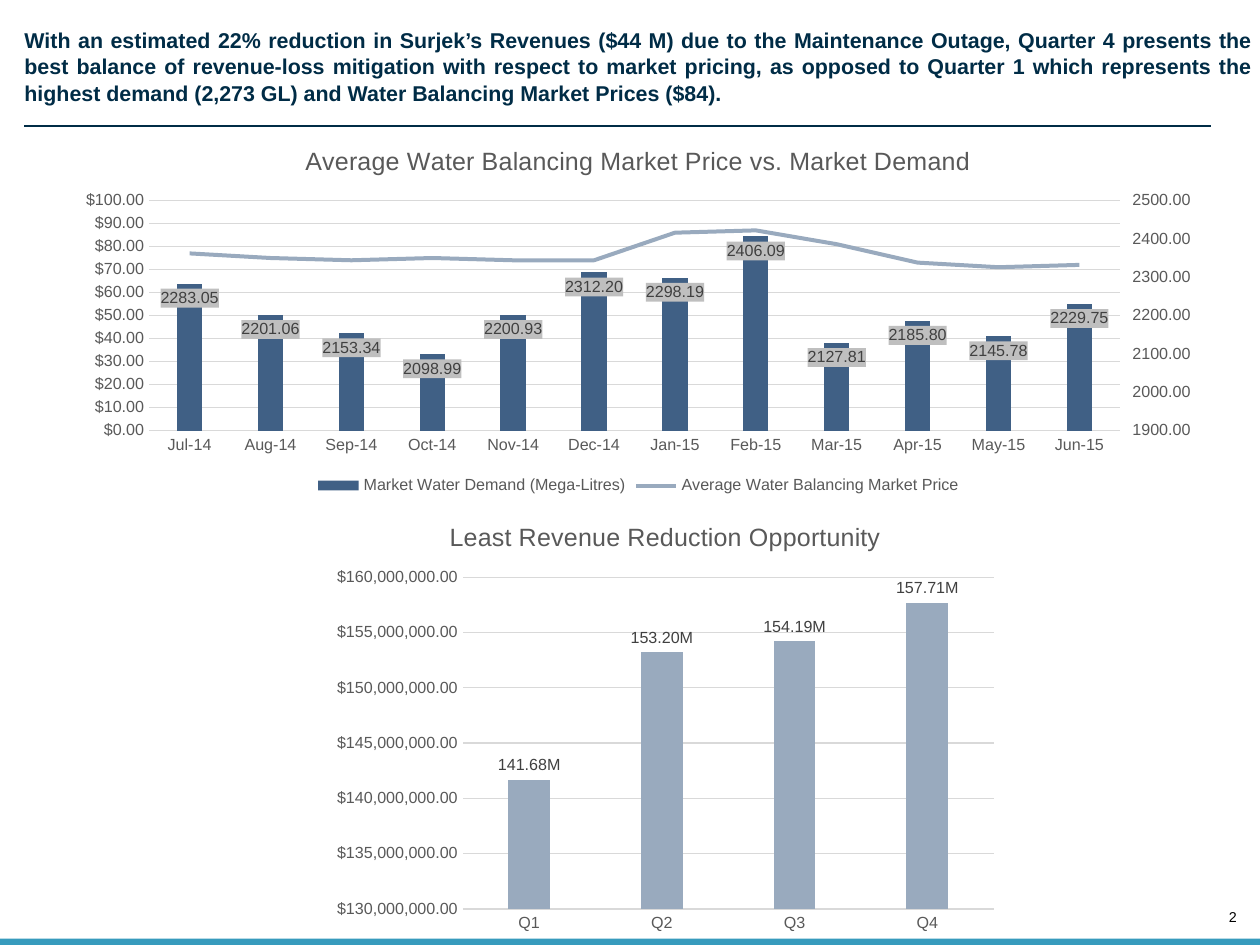
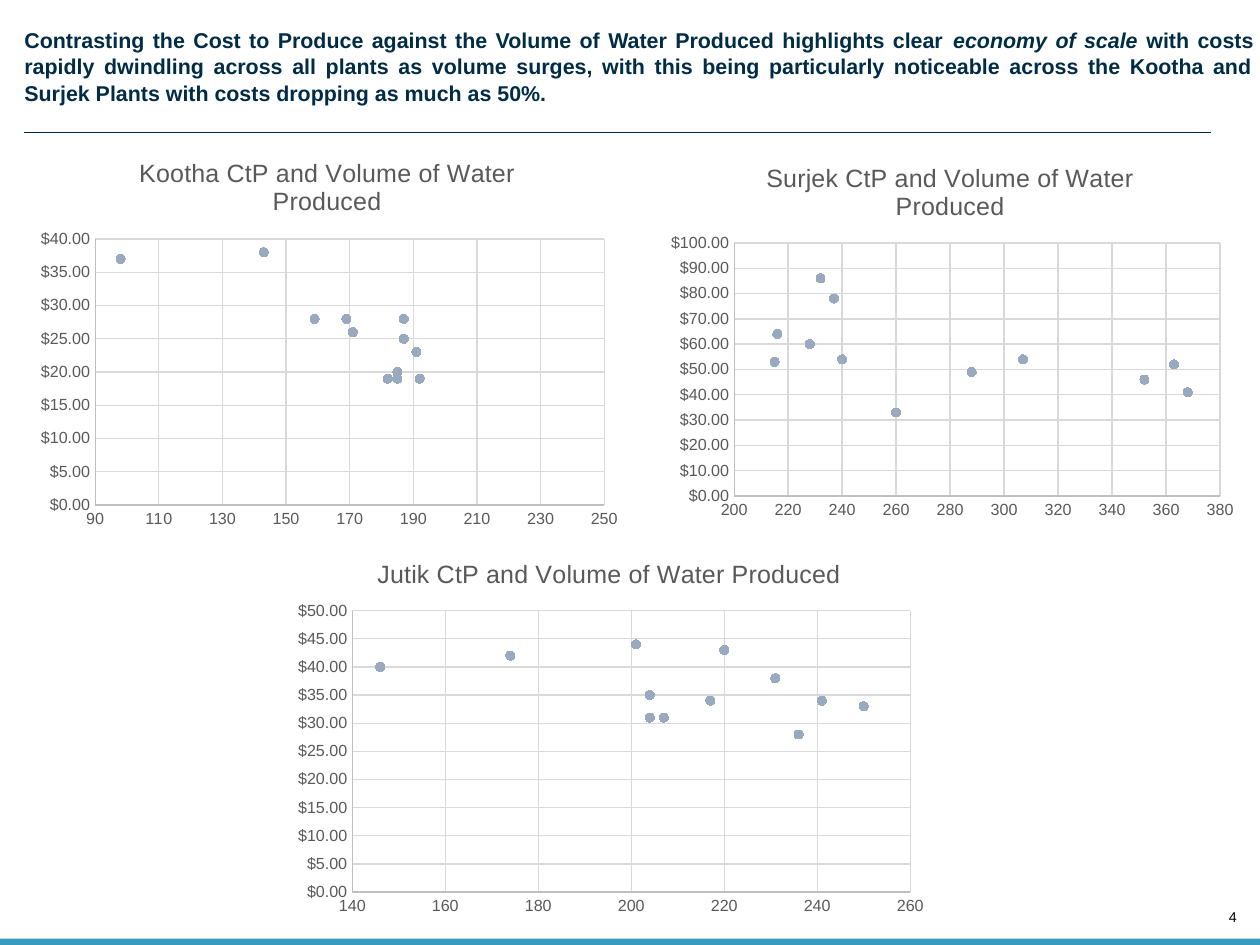
from copy import deepcopy

from lxml import etree
from pptx import Presentation
from pptx import util as u
from pptx.chart import axis as chart_axis
from pptx.chart import data as chart_data
from pptx.dml.color import RGBColor
from pptx.enum import chart as chart_enum
from pptx.enum import shapes, text
from pptx.oxml.ns import qn

COLORS = {
    "title": "002C46", "band": "379BBD", "black": "000000", "axis_text": "595959",
    "label_text": "404040", "grid": "D9D9D9", "axis_line": "BFBFBF",
    "label_fill": "BFBFBF", "dark_bar": "406085", "light": "99AABE",
}
FONT = "Arial"
DOLLARS = '"$"#,##0.00'
TICK = chart_enum.XL_TICK_MARK


def color(name):
    """Return the named colour."""
    return RGBColor.from_string(COLORS[name])


def style_font(font, size, color_name, bold=False, italic=False):
    """Format a font."""
    font.name = FONT
    font.size = u.Pt(size)
    font.bold = bold
    font.italic = italic
    font.color.rgb = color(color_name)


def write_text(frame, content, size=12, color_name="black", bold=False,
               italic_part=None, align=None, spacing=None):
    """Write one paragraph, with an optional part in italics."""
    paragraph = frame.paragraphs[0]
    paragraph.alignment = align
    paragraph.line_spacing = spacing
    before, part, after = content.partition(italic_part) if italic_part else (content, "", "")
    for words, italic in ((before, False), (part, True), (after, False)):
        if words:
            run = paragraph.add_run()
            run.text = words
            style_font(run.font, size, color_name, bold, italic)


def set_frame(frame, anchor):
    """Remove the margins of a text frame and anchor it."""
    frame.margin_left = frame.margin_right = frame.margin_top = frame.margin_bottom = 0
    frame.word_wrap = True
    frame.auto_size = text.MSO_AUTO_SIZE.NONE
    frame.vertical_anchor = anchor


def place(shape, box):
    """Move a shape to a box given in inches."""
    shape.left, shape.top, shape.width, shape.height = map(u.Inches, box)


def style_line(line, color_name, width=0.75):
    """Set a line, or hide it when no colour is given."""
    if color_name:
        line.color.rgb = color(color_name)
        line.width = u.Pt(width)
    else:
        line.fill.background()


def add_page(presentation, title, number, rule_top, italic_part=None):
    """Add a slide with its title, rule, band and page number."""
    slide = presentation.slides.add_slide(presentation.slide_layouts[5])
    place(slide.shapes.title, (0.19, 0.2, 9.56, 0.61))
    frame = slide.shapes.title.text_frame
    set_frame(frame, text.MSO_ANCHOR.TOP)
    write_text(frame, title, color_name="title", bold=True, italic_part=italic_part,
               align=text.PP_ALIGN.JUSTIFY, spacing=1.04)

    rule = slide.shapes.add_connector(
        shapes.MSO_CONNECTOR.STRAIGHT, u.Inches(0.19), u.Inches(rule_top),
        u.Inches(9.42), u.Inches(rule_top))
    style_line(rule.line, "title")
    etree.SubElement(rule._element.spPr, qn("a:effectLst"))

    band = slide.shapes.add_shape(
        shapes.MSO_SHAPE.RECTANGLE, *map(u.Inches, (0, 7.3, 9.8, 0.05)))
    band.shadow.inherit = False
    band.fill.solid()
    band.fill.fore_color.rgb = color("band")
    band.line.fill.background()

    page_number = slide.shapes.add_textbox(*map(u.Inches, (9.42, 7.07, 0.2, 0.13)))
    set_frame(page_number.text_frame, text.MSO_ANCHOR.BOTTOM)
    write_text(page_number.text_frame, number, size=8, align=text.PP_ALIGN.RIGHT)
    return slide


def style_axis(axis, line=None, grid=None, scale=None, number_format=None, tick=TICK.NONE):
    """Format an axis; scale holds minimum, maximum and step."""
    axis.major_tick_mark = tick
    axis.minor_tick_mark = TICK.NONE
    style_font(axis.tick_labels.font, 9, "axis_text")
    style_line(axis.format.line, line)
    axis.has_major_gridlines = bool(grid)
    if grid:
        style_line(axis.major_gridlines.format.line, grid)
    if scale:
        axis.minimum_scale, axis.maximum_scale, axis.major_unit = scale
    if number_format:
        axis.tick_labels.number_format = number_format
        axis.tick_labels.number_format_is_linked = False


def add_chart(slide, kind, box, plot_box, title, data):
    """Add a titled chart whose plot area fills plot_box, in slide inches."""
    chart = slide.shapes.add_chart(kind, *map(u.Inches, box), data).chart
    style_font(chart.font, 10, "black")
    chart.has_legend = False
    chart.has_title = True
    write_text(chart.chart_title.text_frame, title, size=14, color_name="axis_text")
    chart.chart_title.include_in_layout = False
    chart.plots[0].vary_by_categories = False

    plot_area = chart._chartSpace.chart.plotArea
    for old_layout in plot_area.findall(qn("c:layout")):
        plot_area.remove(old_layout)
    layout = etree.Element(qn("c:layout"))
    plot_area.insert(0, layout)
    manual = etree.SubElement(layout, qn("c:manualLayout"))
    left, top, width, height = box
    plot_left, plot_top, plot_width, plot_height = plot_box
    settings = {
        "layoutTarget": "inner", "xMode": "edge", "yMode": "edge",
        "x": (plot_left - left) / width, "y": (plot_top - top) / height,
        "w": plot_width / width, "h": plot_height / height,
    }
    for name, value in settings.items():
        etree.SubElement(manual, qn(f"c:{name}"), val=str(value))
    return chart


def fill_bars(series, color_name, position, number_format):
    """Colour the bars of a series and show their values."""
    series.format.fill.solid()
    series.format.fill.fore_color.rgb = color(color_name)
    labels = series.data_labels
    labels.show_value = True
    labels.number_format = number_format
    labels.number_format_is_linked = False
    style_font(labels.font, 9, "label_text")
    labels.position = position
    return labels


def move_to_line(chart):
    """Turn the second series into a line and give the bars a right-hand axis."""
    plot_area = chart._chartSpace.chart.plotArea
    bars = plot_area.find(qn("c:barChart"))
    series = bars.findall(qn("c:ser"))[1]
    for bar_setting in series.findall(qn("c:invertIfNegative")):
        series.remove(bar_setting)
    line_chart = etree.Element(qn("c:lineChart"))
    etree.SubElement(line_chart, qn("c:grouping"), val="standard")
    etree.SubElement(line_chart, qn("c:varyColors"), val="0")
    line_chart.append(series)
    etree.SubElement(line_chart, qn("c:marker"), val="1")
    bars.addnext(line_chart)

    category, value = plot_area.find(qn("c:catAx")), plot_area.find(qn("c:valAx"))
    bar_category, bar_value = deepcopy(category), deepcopy(value)
    value.addnext(bar_value)
    bar_value.addnext(bar_category)
    new_ids = ("50010", "50020")
    for axis_id, new_id in zip(bars.findall(qn("c:axId")), new_ids):
        line_chart.append(deepcopy(axis_id))
        axis_id.set("val", new_id)
    for axis, own, other in ((bar_category, *new_ids), (bar_value, *new_ids[::-1])):
        axis.find(qn("c:axId")).set("val", own)
        axis.find(qn("c:crossAx")).set("val", other)
    bar_value.find(qn("c:axPos")).set("val", "r")
    bar_value.find(qn("c:crosses")).set("val", "max")
    chart_axis.CategoryAxis(bar_category).visible = False
    return chart_axis.ValueAxis(bar_value)


def add_market_chart(slide, box, plot_box):
    """Add the chart of monthly demand bars and price line."""
    months = ("Jul-14 Aug-14 Sep-14 Oct-14 Nov-14 Dec-14 "
              "Jan-15 Feb-15 Mar-15 Apr-15 May-15 Jun-15").split()
    data = chart_data.CategoryChartData()
    data.categories = months
    data.add_series("Market Water Demand (Mega-Litres)", (
        2283.05, 2201.06, 2153.34, 2098.99, 2200.93, 2312.2,
        2298.19, 2406.09, 2127.81, 2185.8, 2145.78, 2229.75))
    data.add_series("Average Water Balancing Market Price",
                    (77, 75, 74, 75, 74, 74, 86, 87, 81, 73, 71, 72))
    chart = add_chart(slide, chart_enum.XL_CHART_TYPE.COLUMN_CLUSTERED, box, plot_box,
                      "Average Water Balancing Market Price vs. Market Demand", data)
    chart.plots[0].gap_width = 219
    style_axis(chart.category_axis, line="grid")
    style_axis(chart.value_axis, grid="grid", scale=(0, 100, 10), number_format=DOLLARS)
    style_axis(move_to_line(chart), scale=(1900, 2500, 100), number_format="0.00",
               tick=TICK.OUTSIDE)

    bars, line = chart.plots
    labels = fill_bars(bars.series[0], "dark_bar",
                       chart_enum.XL_LABEL_POSITION.INSIDE_END, "0.00")
    background = etree.Element(qn("c:spPr"))
    fill = etree.SubElement(background, qn("a:solidFill"))
    etree.SubElement(fill, qn("a:srgbClr"), val=COLORS["label_fill"])
    labels._element.find(qn("c:txPr")).addprevious(background)

    price = line.series[0]
    style_line(price.format.line, "light", 2.25)
    price.marker.style = chart_enum.XL_MARKER_STYLE.NONE
    price.smooth = False
    chart.has_legend = True
    chart.legend.position = chart_enum.XL_LEGEND_POSITION.BOTTOM
    chart.legend.include_in_layout = False
    style_font(chart.legend.font, 9, "axis_text")


def add_revenue_chart(slide, box, plot_box):
    """Add the chart of revenue by quarter."""
    data = chart_data.CategoryChartData()
    data.categories = ["Q1", "Q2", "Q3", "Q4"]
    data.add_series("Series 1", (141680000, 153200000, 154190000, 157710000))
    chart = add_chart(slide, chart_enum.XL_CHART_TYPE.COLUMN_CLUSTERED, box, plot_box,
                      "Least Revenue Reduction Opportunity", data)
    chart.plots[0].gap_width = 219
    chart.plots[0].overlap = -27
    style_axis(chart.category_axis, line="grid")
    style_axis(chart.value_axis, grid="grid", scale=(130000000, 160000000, 5000000),
               number_format=DOLLARS)
    fill_bars(chart.plots[0].series[0], "light",
              chart_enum.XL_LABEL_POSITION.OUTSIDE_END, '0.00,,"M"')


def add_plant_chart(slide, plant, box, plot_box, volumes, costs, volume_scale, cost_scale):
    """Add the scatter of cost against volume for one plant."""
    data = chart_data.XyChartData()
    points = data.add_series("Series 1")
    for volume, cost in zip(volumes, costs):
        points.add_data_point(volume, cost)
    chart = add_chart(slide, chart_enum.XL_CHART_TYPE.XY_SCATTER, box, plot_box,
                      f"{plant} CtP and Volume of Water Produced", data)
    style_axis(chart.category_axis, "axis_line", "grid", volume_scale, "General")
    style_axis(chart.value_axis, "axis_line", "grid", cost_scale, DOLLARS)
    series = chart.plots[0].series[0]
    style_line(series.format.line, None)
    series.marker.style = chart_enum.XL_MARKER_STYLE.CIRCLE
    series.marker.size = 5
    series.marker.format.fill.solid()
    series.marker.format.fill.fore_color.rgb = color("light")
    style_line(series.marker.format.line, "light")


def main():
    """Build and save the presentation."""
    presentation = Presentation()
    presentation.slide_width, presentation.slide_height = u.Inches(9.8), u.Inches(7.35)

    market = add_page(
        presentation,
        "With an estimated 22% reduction in Surjek’s Revenues ($44 M) due to the Maintenance "
        "Outage, Quarter 4 presents the best balance of revenue-loss mitigation with respect to "
        "market pricing, as opposed to Quarter 1 which represents the highest demand (2,273 GL) "
        "and Water Balancing Market Prices ($84).", "2", 0.98)
    add_revenue_chart(market, (2.51, 3.89, 5.33, 3.44), (3.6, 4.49, 4.13, 2.58))
    add_market_chart(market, (0.49, 0.98, 8.95, 2.91), (1.16, 1.56, 7.55, 1.79))

    plants = add_page(
        presentation,
        "Contrasting the Cost to Produce against the Volume of Water Produced highlights clear "
        "economy of scale with costs rapidly dwindling across all plants as volume surges, with "
        "this being particularly noticeable across the Kootha and Surjek Plants with costs "
        "dropping as much as 50%.", "4", 1.03, italic_part="economy of scale ")
    add_plant_chart(plants, "Kootha", (0.19, 1.07, 4.71, 3.11), (0.74, 1.86, 3.96, 2.07),
                    (182, 187, 185, 192, 98, 185, 187, 159, 191, 171, 169, 143),
                    (19, 25, 20, 19, 37, 19, 28, 28, 23, 26, 28, 38),
                    (90, 250, 20), (0, 40, 5))
    add_plant_chart(plants, "Surjek", (5.09, 1.11, 4.6, 3), (5.71, 1.89, 3.78, 1.97),
                    (215, 228, 216, 237, 232, 240, 288, 307, 368, 352, 363, 260),
                    (53, 60, 64, 78, 86, 54, 49, 54, 41, 46, 52, 33),
                    (200, 380, 20), (0, 100, 10))
    add_plant_chart(plants, "Jutik", (2.19, 4.19, 5.1, 3), (2.74, 4.75, 4.34, 2.19),
                    (250, 207, 201, 174, 204, 146, 204, 217, 231, 236, 241, 220),
                    (33, 31, 44, 42, 31, 40, 35, 34, 38, 28, 34, 43),
                    (140, 260, 20), (0, 50, 5))
    presentation.save("out.pptx")


if __name__ == "__main__":
    main()
